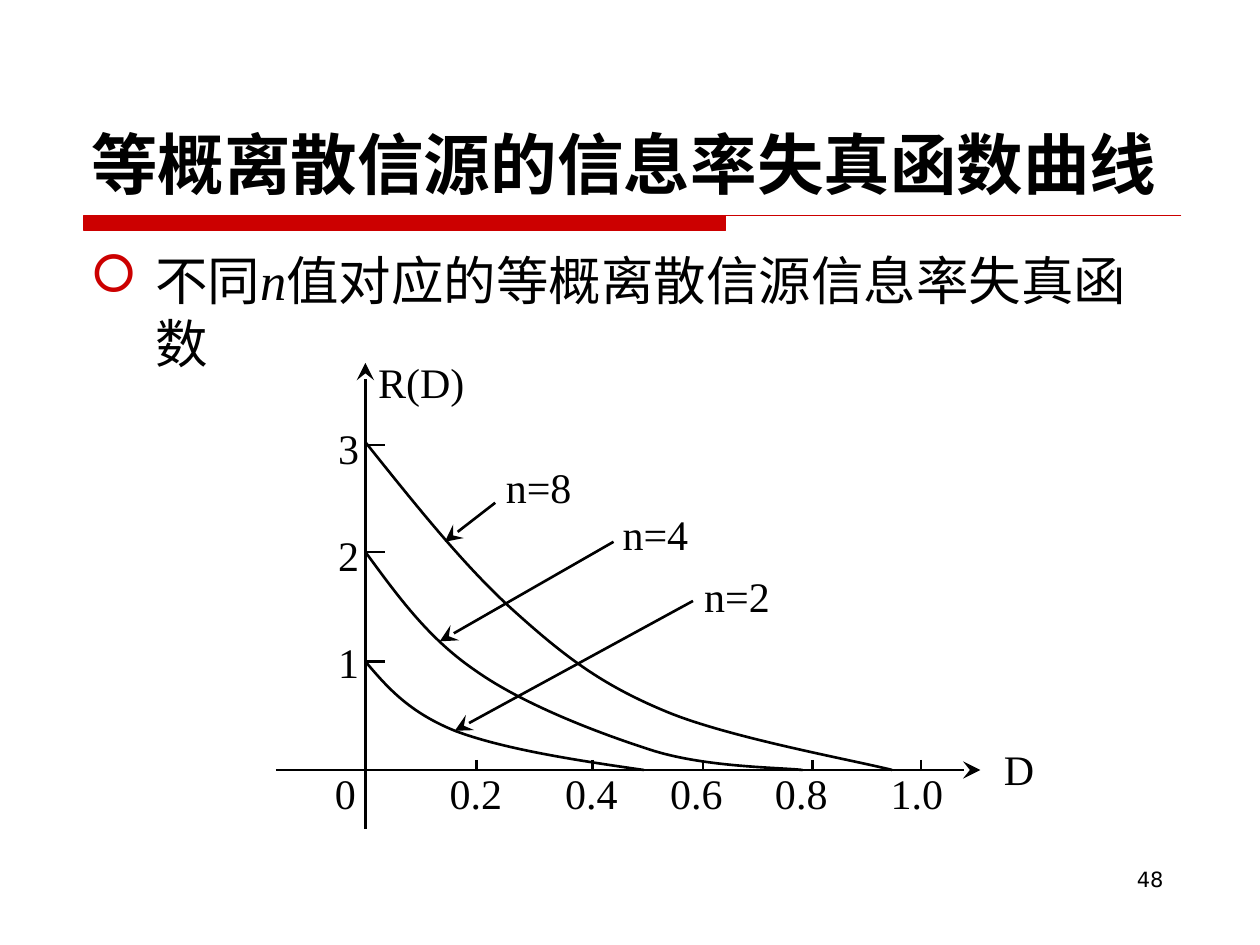
from lxml import etree
from pptx import Presentation
from pptx.dml.color import RGBColor
from pptx.enum import shapes, text
from pptx.oxml.ns import qn
from pptx.util import Pt

BLACK = RGBColor(0, 0, 0)
RED = RGBColor(0xCC, 0, 0)
SANS, CJK, SERIF = "DejaVu Sans", "Noto Sans CJK SC", "Times New Roman"

# Content; all lengths in points
TITLE = [("等概离散信源的信息", {"font": CJK}), ("率失真函数曲线", {"font": SANS})]
BULLET = [("不同", {}), ("n", {"font": SERIF, "italic": True}),
          ("值对应的等概离散信源信息率失真函数", {})]
PAGE = "48"

# A thick bar that runs on as a thin line
RULE = [(48, 123), (674.6, 123), (414.5, 123), (414.5, 131.8), (48, 131.8)]

ORIGIN_X, ORIGIN_Y = 208.8, 440
AXES = [(157.7, ORIGIN_Y, 560.2, ORIGIN_Y), (ORIGIN_X, 473.8, ORIGIN_X, 207.4)]
X_TICKS = [272.2, 338.4, 401.8, 464.4, 526.3]
Y_TICKS = [254.2, 315.4, 378]
X_LABELS = ["0", "0.2", "0.4", "0.6", "0.8", "1.0"]
X_LABEL_TABS = [65.5, 131.5, 191.5, 251.5, 317.5]

# Label, left, top, width
LABELS = [("R(D)", 209, 200.2, 66), ("D", 566.6, 421.2, 34),
          ("n=8", 282, 259.9, 56), ("n=4", 348.7, 287.3, 56),
          ("n=2", 395.3, 322.6, 56)]
LABELS += [(str(3 - i), 186.2, 237.8 + 61.2 * i, 28) for i in range(3)]
POINTERS = [(283, 287.3, 254.2, 309.6), (350.6, 309.6, 251.3, 366.5),
            (396, 343.4, 259.9, 417.6)]

# Bezier control points for n=8, n=4, n=2: a start, then three per segment
CURVES = [
    [(208.8, 252.7), (237.6, 288.7), (265.7, 324), (293.8, 349.2),
     (322.6, 375.1), (343.4, 391), (379.4, 406.1),
     (414.7, 421.2), (486.7, 434.2), (509.8, 440)],
    [(208.8, 315.4), (226.8, 339.8), (244.1, 364.3), (271.4, 383),
     (298.8, 402.5), (342, 419), (373.7, 429.1),
     (404.6, 438.5), (445, 438.5), (458.6, 440)],
    [(208.8, 378), (221, 392.4), (233.3, 406.8), (259.9, 417.6),
     (286.6, 427.7), (326.9, 434.2), (367.9, 440)],
]


def add_run(p, words, size=24, font=SERIF, bold=False, italic=False):
    r = p.add_run()
    r.text = words
    f = r.font
    f.size, f.name, f.bold, f.italic = Pt(size), font, bold, italic
    f.color.rgb = BLACK
    etree.SubElement(r._r.get_or_add_rPr(), qn("a:ea"), typeface=font)


def add_box(s, x, y, w, h=36):
    tf = s.shapes.add_textbox(Pt(x), Pt(y), Pt(w), Pt(h)).text_frame
    tf.word_wrap = True
    return tf.paragraphs[0]


def add_line(s, x1, y1, x2, y2, arrow=False):
    line = s.shapes.add_connector(shapes.MSO_CONNECTOR.STRAIGHT,
                                  Pt(x1), Pt(y1), Pt(x2), Pt(y2))
    line.line.color.rgb = BLACK
    line.line.width = Pt(1.5)
    if arrow:
        etree.SubElement(line.line._get_or_add_ln(), qn("a:tailEnd"),
                         type="stealth", w="lg", len="lg")
    etree.SubElement(line._element.spPr, qn("a:effectLst"))


def add_outline(s, points, color, width, close=False):
    start, *rest = [(Pt(x), Pt(y)) for x, y in points]
    builder = s.shapes.build_freeform(*start)
    builder.add_line_segments(rest, close=close)
    sp = builder.convert_to_shape()
    sp.shadow.inherit = False
    sp.fill.background()
    sp.line.color.rgb = color
    sp.line.width = Pt(width)
    return sp


def add_curve(s, points):
    sp = add_outline(s, points, BLACK, 1.5)
    # Turn each three straight steps into one Bezier segment
    steps = list(sp._element.iter(qn("a:lnTo")))
    for i in range(0, len(steps), 3):
        bezier = etree.Element(qn("a:cubicBezTo"))
        steps[i].addprevious(bezier)
        for step in steps[i:i + 3]:
            bezier.append(step[0])
            step.getparent().remove(step)


def add_heading(s):
    # Title
    title = s.shapes.title
    title.left, title.top, title.width, title.height = Pt(45), Pt(23.5), Pt(630), Pt(96)
    tf = title.text_frame
    tf.auto_size = text.MSO_AUTO_SIZE.NONE
    tf.vertical_anchor = text.MSO_ANCHOR.BOTTOM
    p = tf.paragraphs[0]
    p.alignment = text.PP_ALIGN.LEFT
    for words, style in TITLE:
        add_run(p, words, size=38, bold=True, **style)

    # Red rule under the title
    rule = add_outline(s, RULE, RED, 0.75, close=True)
    rule.fill.solid()
    rule.fill.fore_color.rgb = RED


def add_bullet(s):
    p = add_box(s, 44.6, 138.2, 630, 336)
    pPr = p._p.get_or_add_pPr()
    pPr.set("marL", str(Pt(37)))
    pPr.set("indent", str(-Pt(37)))
    color = etree.SubElement(pPr, qn("a:buClr"))
    etree.SubElement(color, qn("a:srgbClr"), val=str(RED))
    etree.SubElement(pPr, qn("a:buFont"), typeface="Wingdings")
    etree.SubElement(pPr, qn("a:buChar"), char="□")
    for words, style in BULLET:
        add_run(p, words, **{"size": 30, "font": SANS, **style})


def add_graph(s):
    # Axes, ticks and curves
    for axis in AXES:
        add_line(s, *axis, arrow=True)
    for x in X_TICKS:
        add_line(s, x, ORIGIN_Y - 5.8, x, ORIGIN_Y)
    for y in Y_TICKS:
        add_line(s, ORIGIN_X, y, ORIGIN_X + 11.5, y)
    for points in CURVES:
        add_curve(s, points)

    # Labels and their pointers
    for label, x, y, w in LABELS:
        add_run(add_box(s, x, y, w), label)
    for pointer in POINTERS:
        add_line(s, *pointer, arrow=True)

    # Numbers along the horizontal axis
    p = add_box(s, 184.3, 434.9, 374.4)
    tabs = etree.SubElement(p._p.get_or_add_pPr(), qn("a:tabLst"))
    for pos in X_LABEL_TABS:
        etree.SubElement(tabs, qn("a:tab"), pos=str(Pt(pos)), algn="l")
    add_run(p, "\t".join(X_LABELS))


def main():
    prs = Presentation()
    prs.slide_width, prs.slide_height = Pt(720), Pt(540)
    s = prs.slides.add_slide(prs.slide_layouts[5])
    add_heading(s)
    add_bullet(s)
    add_graph(s)

    # Page number
    p = add_box(s, 516, 491.8, 156)
    p.alignment = text.PP_ALIGN.RIGHT
    add_run(p, PAGE, size=12, font=SANS)
    prs.save("out.pptx")


if __name__ == "__main__":
    main()
